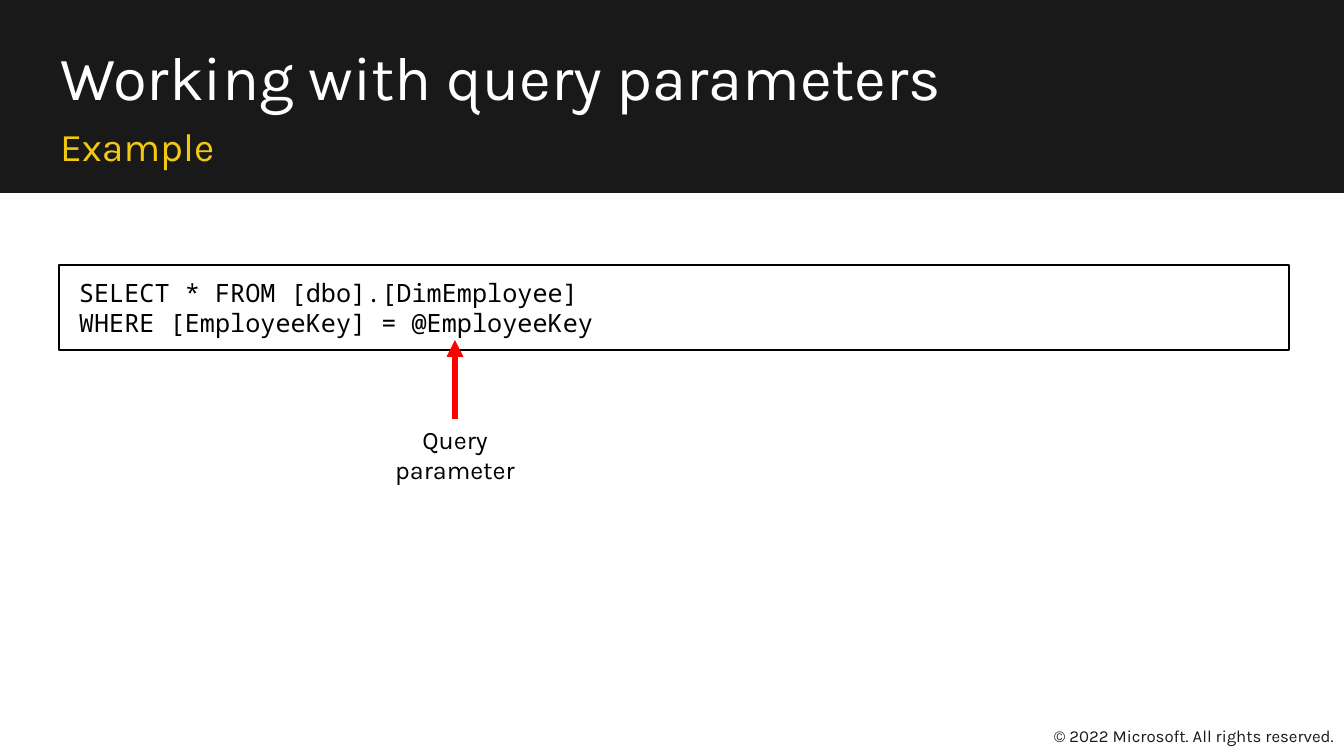
from lxml.etree import SubElement
from pptx import Presentation
from pptx.dml.color import RGBColor
from pptx.enum.shapes import MSO_CONNECTOR, MSO_SHAPE
from pptx.enum.text import MSO_ANCHOR, PP_ALIGN
from pptx.oxml.ns import qn
from pptx.util import Emu, Pt

COLORS = {
    "band": "191919",
    "white": "FFFFFF",
    "accent": "F2C811",
    "ink": "000000",
    "arrow": "FF0000",
}
SCALE = 914400 / 100.8


def px(length):
    return Emu(round(length * SCALE))


def color(name):
    return RGBColor.from_string(COLORS[name])


class SlideBuilder:
    def __init__(self, page, font="Karla", code_font="Noto Sans Mono"):
        self.page = page
        self.font = font
        self.code_font = code_font

    def fill_text(self, box, lines, size, ink, font=None, align=PP_ALIGN.LEFT,
                  anchor=MSO_ANCHOR.TOP, spacing=1.0, insets=(10, 5, 10, 5)):
        frame = box.text_frame
        frame.word_wrap = True
        frame.vertical_anchor = anchor
        (frame.margin_left, frame.margin_top,
         frame.margin_right, frame.margin_bottom) = map(px, insets)
        for index, line in enumerate(lines):
            para = frame.add_paragraph() if index else frame.paragraphs[0]
            para.alignment = align
            para.line_spacing = spacing
            span = para.add_run()
            span.text = line
            span.font.name = font or self.font
            span.font.size = Pt(size)
            span.font.color.rgb = color(ink)

    def text(self, left, top, width, height, line, size, ink, **style):
        box = self.page.shapes.add_textbox(*map(px, (left, top, width, height)))
        self.fill_text(box, [line], size, ink, **style)
        return box

    def rectangle(self, left, top, width, height, fill, outline=None):
        box = self.page.shapes.add_shape(
            MSO_SHAPE.RECTANGLE, *map(px, (left, top, width, height)))
        box.shadow.inherit = False
        box.fill.solid()
        box.fill.fore_color.rgb = color(fill)
        if outline:
            box.line.color.rgb = color(outline)
            box.line.width = Pt(1.5)
        else:
            box.line.fill.background()
        return box

    def code(self, left, top, width, height, lines):
        box = self.rectangle(left, top, width, height, "white", "ink")
        self.fill_text(box, lines, 18, "ink", font=self.code_font,
                       anchor=MSO_ANCHOR.MIDDLE, insets=(20, 12, 10, 12))

    def arrow_up(self, label, tip):
        middle = label.left + label.width // 2
        arrow = self.page.shapes.add_connector(
            MSO_CONNECTOR.STRAIGHT, middle, label.top, middle, px(tip))
        arrow.begin_connect(label, 0)
        arrow.line.color.rgb = color("arrow")
        arrow.line.width = Pt(4)
        outline = arrow._element.spPr.find(qn("a:ln"))
        SubElement(outline, qn("a:tailEnd"), type="triangle")
        SubElement(arrow._element.spPr, qn("a:effectLst"))


def main():
    deck = Presentation()
    deck.slide_width, deck.slide_height = px(1344), px(756)
    builder = SlideBuilder(deck.slides.add_slide(deck.slide_layouts[6]))

    builder.rectangle(0, 0, 1344, 193, "band")
    builder.text(50, 42, 1239, 77, "Working with query parameters", 44, "white",
                 spacing=0.9)
    builder.text(50, 119, 1239, 59, "Example", 28, "accent",
                 anchor=MSO_ANCHOR.MIDDLE, spacing=0.9)
    builder.code(59, 265, 1230, 85, [
        "SELECT * FROM [dbo].[DimEmployee]",
        "WHERE [EmployeeKey] = @EmployeeKey",
    ])
    label = builder.text(351, 419, 208, 72, "Query parameter", 18, "ink",
                         align=PP_ALIGN.CENTER)
    builder.arrow_up(label, 340)
    builder.text(1043, 716, 301, 40, "© 2022 Microsoft. All rights reserved.", 12,
                 "band", align=PP_ALIGN.RIGHT, anchor=MSO_ANCHOR.MIDDLE)

    deck.save("out.pptx")


if __name__ == "__main__":
    main()
